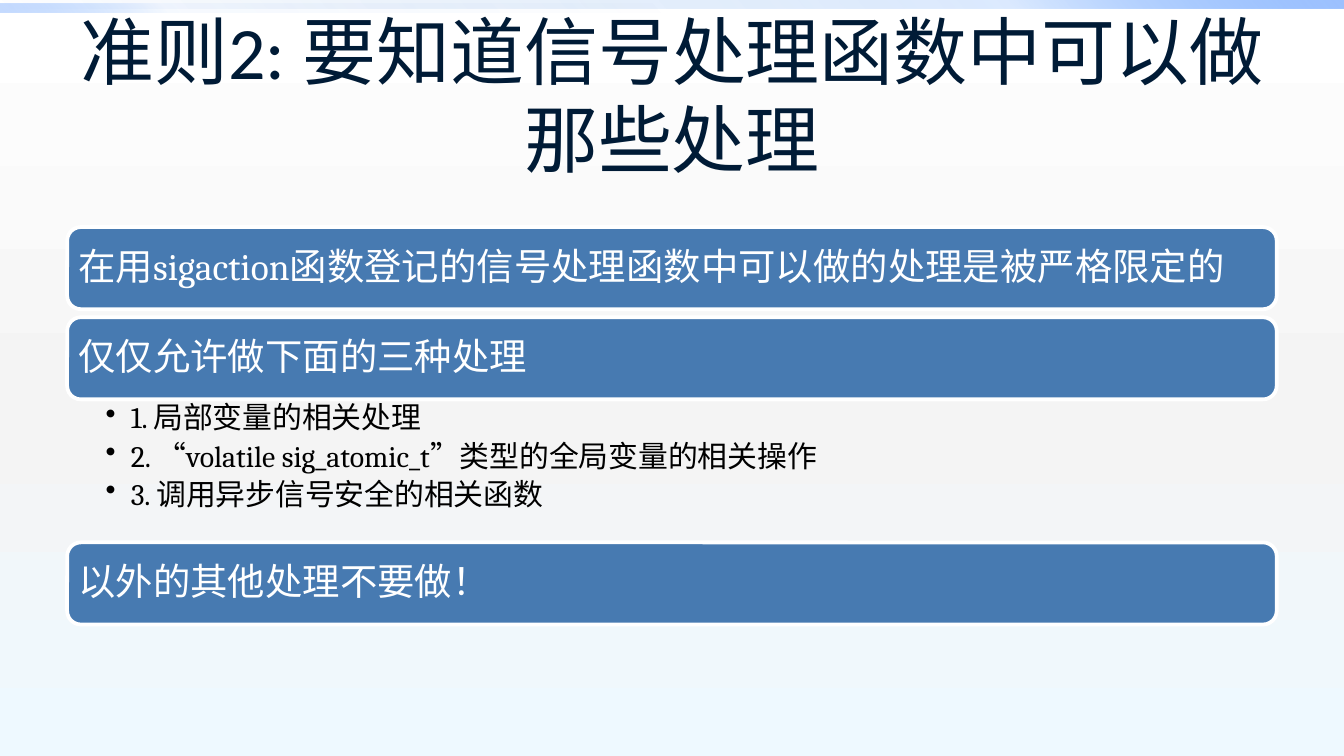
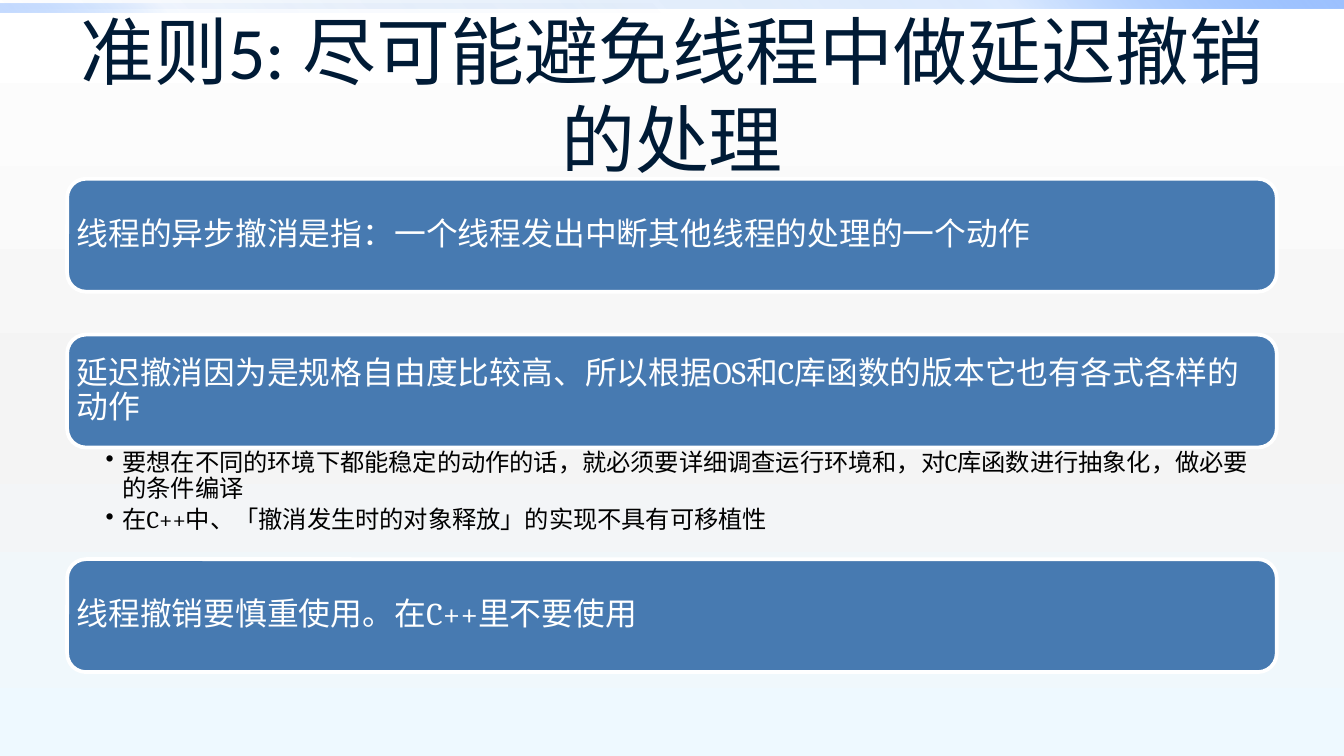
"""Build two slides of signal and thread programming rules."""
from lxml import etree
from pptx import Presentation
from pptx import util as u
from pptx.dml.color import RGBColor
from pptx.enum import lang, shapes, text
from pptx.oxml import ns

WIDTH, HEIGHT = 720, 405
LEFT, SPAN_WIDTH = 36, 648
NAVY, BLUE, WHITE, BLACK = "001B36", "477AB1", "FFFFFF", "000000"

BACKGROUND = [(0, "FFFFFF", 100), (55, "F4F4F4", 100), (100, "EEF9FF", 100)]
BANDS = [
    ((0, 0, WIDTH, 4.5), 315, [(0, "0058B7", 0), (75, "4F95FF", 20), (100, "9EC2FF", 100)]),
    ((0, 2, WIDTH / 2, 4.5), 135, [(0, "0058B7", 0), (75, "4F95FF", 5), (100, "9EC2FF", 60)]),
]

SLIDES = [
    {
        "title": "准则2: 要知道信号处理函数中可以做那些处理",
        "top": 121.7, "bar": 44, "gap": 4.3, "size": 20, "inset": 6,
        "list": {"height": 76.6, "size": 16, "hang": 13.5, "insets": (20.6, 2, 11.4, 2)},
        "items": [
            ("在用sigaction函数登记的信号处理函数中可以做的处理是被严格限定的", []),
            ("仅仅允许做下面的三种处理", [
                "1. 局部变量的相关处理",
                "2. “volatile sig_atomic_t”类型的全局变量的相关操作",
                "3. 调用异步信号安全的相关函数",
            ]),
            ("以外的其他处理不要做！", []),
        ],
    },
    {
        "title": "准则5: 尽可能避免线程中做延迟撤销的处理",
        "top": 95.8, "bar": 60.5, "gap": 23, "size": 17, "inset": 5,
        "list": {"height": 59.8, "size": 13, "hang": 9, "insets": (20.6, 1.6, 9.3, 1.6)},
        "items": [
            ("线程的异步撤消是指：一个线程发出中断其他线程的处理的一个动作", []),
            ("延迟撤消因为是规格自由度比较高、所以根据OS和C库函数的版本它也有各式各样的动作", [
                "要想在不同的环境下都能稳定的动作的话，就必须要详细调查运行环境和，"
                "对C库函数进行抽象化，做必要的条件编译",
                "在C++中、「撤消发生时的对象释放」的实现不具有可移植性",
            ]),
            ("线程撤销要慎重使用。在C++里不要使用", []),
        ],
    },
]


def color(value):
    return RGBColor.from_string(value)


def points(*values):
    return [u.Pt(value) for value in values]


def add_child(parent, tag, **attributes):
    child = etree.SubElement(parent, ns.qn(tag))
    for name, value in attributes.items():
        child.set(name, str(value))
    return child


def apply_gradient(owner, fill, stops, angle):
    fill.solid()
    solid = owner.element.find(".//" + ns.qn("a:solidFill"))
    gradient = etree.Element(ns.qn("a:gradFill"), rotWithShape="1")
    stop_list = add_child(gradient, "a:gsLst")
    for position, value, opacity in stops:
        stop = add_child(stop_list, "a:gs", pos=position * 1000)
        shade = add_child(stop, "a:srgbClr", val=value)
        if opacity < 100:
            add_child(shade, "a:alpha", val=opacity * 1000)
    add_child(gradient, "a:lin", ang=angle * 60000, scaled=0)
    solid.getparent().replace(solid, gradient)


def write(box, lines, *, size, font="Cambria", ink=BLACK, align=text.PP_ALIGN.LEFT,
          anchor=text.MSO_ANCHOR.MIDDLE, insets=(7.2, 3.6, 7.2, 3.6),
          spacing=0.9, after=0, hang=0):
    frame = box.text_frame
    frame.word_wrap = True
    frame.auto_size = text.MSO_AUTO_SIZE.NONE
    frame.vertical_anchor = anchor
    (frame.margin_left, frame.margin_top,
     frame.margin_right, frame.margin_bottom) = points(*insets)
    for index, line in enumerate(lines):
        para = frame.add_paragraph() if index else frame.paragraphs[0]
        para.alignment = align
        para.line_spacing = spacing
        para.space_after = u.Pt(after)
        if hang:
            properties = para._p.get_or_add_pPr()
            properties.set("marL", str(u.Pt(hang)))
            properties.set("indent", str(-u.Pt(hang)))
            add_child(properties, "a:buChar", char="•")
        span = para.add_run()
        span.text = line
        span.font.size = u.Pt(size)
        span.font.name = font
        span.font.color.rgb = color(ink)
        span.font.language_id = lang.MSO_LANGUAGE_ID.SIMPLIFIED_CHINESE


def add_frame(page, title):
    apply_gradient(page, page.background.fill, BACKGROUND, 90)
    for place, angle, stops in BANDS:
        band = page.shapes.add_shape(shapes.MSO_SHAPE.RECTANGLE, *points(*place))
        band.shadow.inherit = False
        band.line.fill.background()
        apply_gradient(band, band.fill, stops, angle)
    box = page.shapes.add_textbox(*points(LEFT, 16.5, SPAN_WIDTH, 67.5))
    write(box, [title], size=39.6, font="Calibri", ink=NAVY,
          align=text.PP_ALIGN.CENTER, spacing=1)


def add_bar(page, heading, top, height, size, inset):
    bar = page.shapes.add_shape(shapes.MSO_SHAPE.ROUNDED_RECTANGLE,
                                *points(LEFT, top, SPAN_WIDTH, height))
    bar.shadow.inherit = False
    bar.fill.solid()
    bar.fill.fore_color.rgb = color(BLUE)
    bar.line.color.rgb = color(WHITE)
    bar.line.width = u.Pt(2)
    corner = height / 6 * 0.29
    write(bar, [heading], size=size, ink=WHITE, insets=[inset - corner] * 4)


def add_items(page, content):
    top, details = content["top"], content["list"]
    for heading, bullets in content["items"]:
        add_bar(page, heading, top, content["bar"], content["size"], content["inset"])
        top += content["bar"]
        if bullets:
            box = page.shapes.add_textbox(*points(LEFT, top, SPAN_WIDTH, details["height"]))
            write(box, bullets, size=details["size"], anchor=text.MSO_ANCHOR.TOP,
                  insets=details["insets"], after=details["size"] * 0.2,
                  hang=details["hang"])
            top += details["height"]
        else:
            top += content["gap"]


def main():
    deck = Presentation()
    deck.slide_width, deck.slide_height = points(WIDTH, HEIGHT)
    for content in SLIDES:
        page = deck.slides.add_slide(deck.slide_layouts[6])
        add_frame(page, content["title"])
        add_items(page, content)
    deck.save("out.pptx")


if __name__ == "__main__":
    main()
